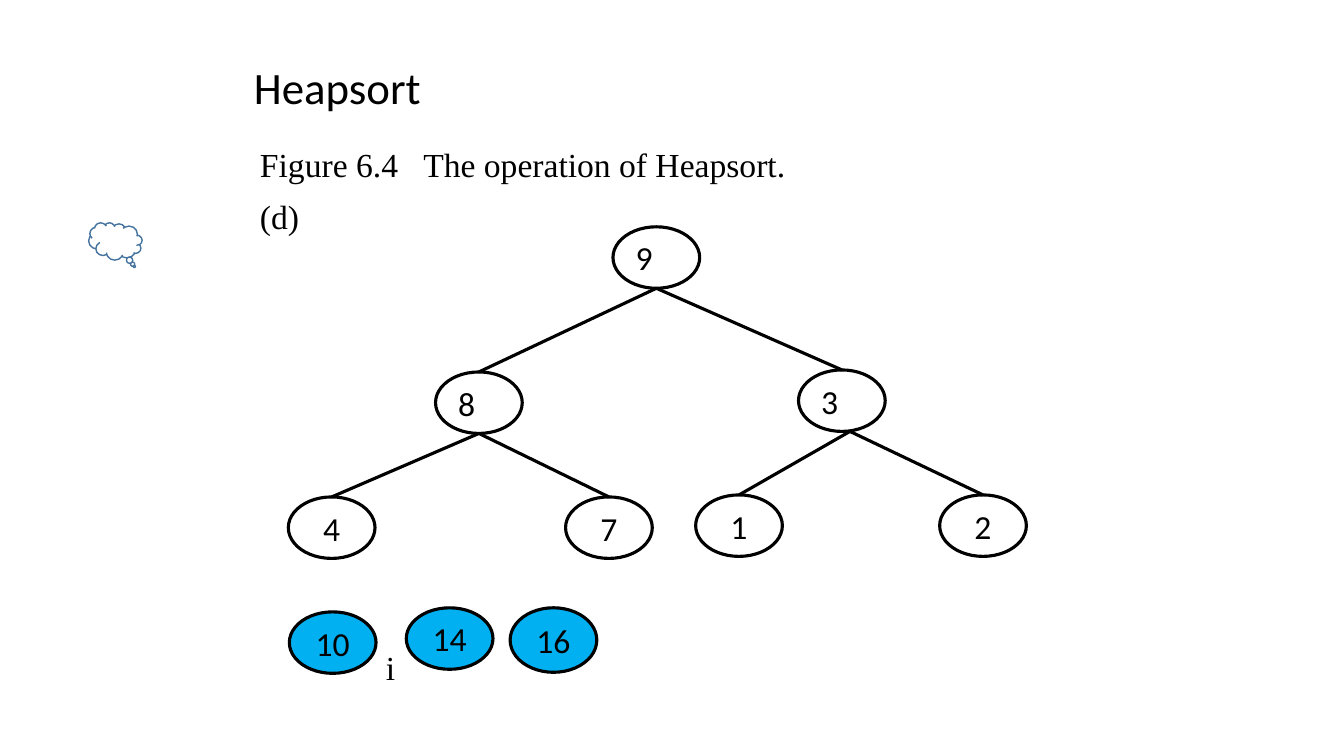
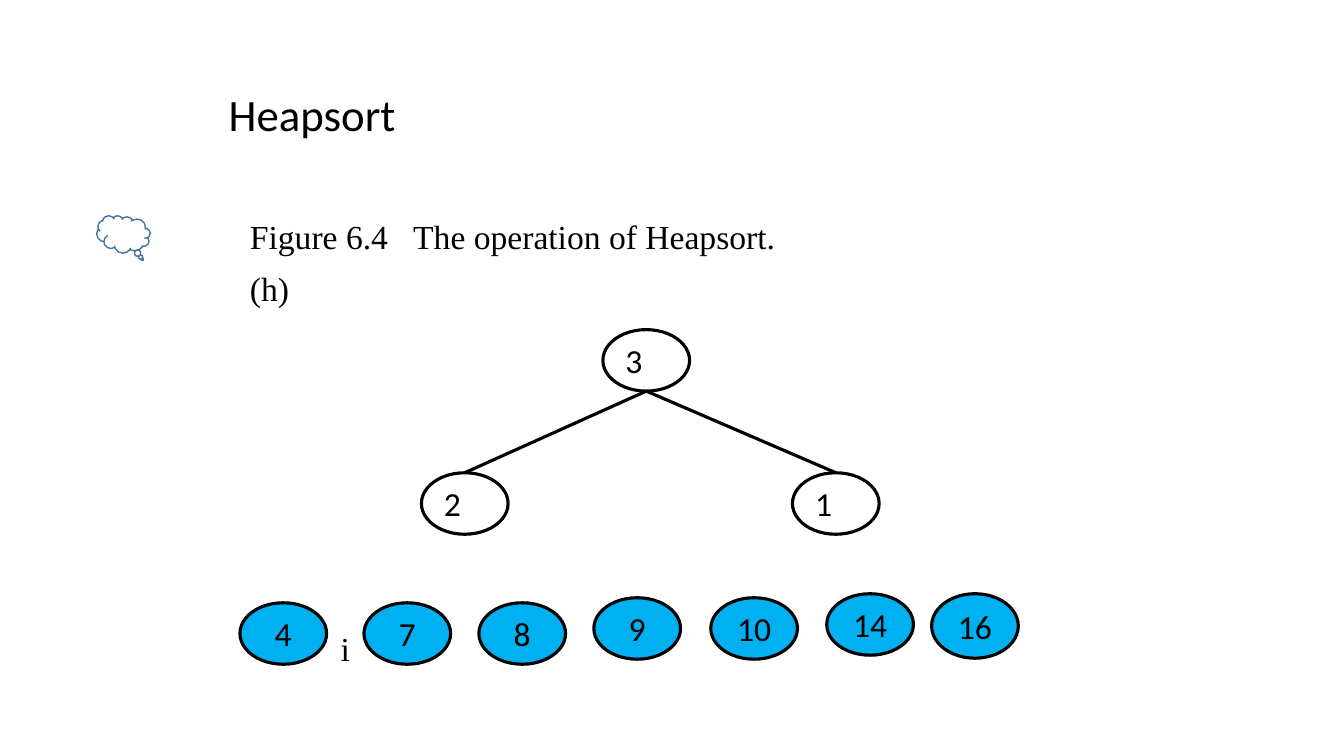
from dataclasses import dataclass

from lxml import etree
from pptx import Presentation
from pptx.dml.color import RGBColor
from pptx.enum import shapes, text
from pptx.oxml import ns
from pptx.util import Inches, Pt


@dataclass(frozen=True)
class Theme:
    ink: RGBColor = RGBColor(0x00, 0x00, 0x00)
    paper: RGBColor = RGBColor(0xFF, 0xFF, 0xFF)
    sorted_fill: RGBColor = RGBColor(0x00, 0xB0, 0xF0)
    cloud_line: RGBColor = RGBColor(0x43, 0x73, 0x9E)
    sans: str = "Calibri"
    serif: str = "Times New Roman"
    title_size: float = 32
    body_size: float = 24
    stroke: float = 2.25
    thin_stroke: float = 1
    caption_spacing: float = 1.3


THEME = Theme()
NODE_W, NODE_H, LAST_NODE_H = 0.86, 0.61, 0.64
CAPTION = "Figure 6.4\tThe operation of Heapsort."
CAPTION_TAB = 1.62

# Boxes are (left, top, width, height); offsets are relative to the region's corner.
# Tree nodes are in heap order: the parent of node i is node (i - 1) // 2.
STEPS = [
    {
        "title": (2.42, 0.54, 1.87, 0.64),
        "caption": (2.48, 1.26, 5.85, 1.1),
        "step": "(d)",
        "cloud": (0.88, 2.21),
        "tree": (2.86, 2.25),
        "heap": [("9", 3.22, 0), ("8", 1.46, 1.44), ("3", 5.06, 1.42),
                 ("4", 0, 2.68), ("7", 2.75, 2.68),
                 ("1", 4.04, 2.66), ("2", 6.46, 2.66)],
        "forks": {2: 0.08},
        "row": (2.87, 6.03),
        "sorted": [("10", 0, 0.04), ("14", 1.16, 0), ("16", 2.19, 0)],
        "marker": (0.86, 0.34),
    },
    {
        "title": (2.17, 0.81, 1.87, 0.64),
        "caption": (2.38, 1.97, 6.49, 1.1),
        "step": "(h)",
        "cloud": (0.96, 2.14),
        "tree": (4.18, 3.27),
        "heap": [("3", 1.8, 0), ("2", 0, 1.42), ("1", 3.68, 1.42)],
        "forks": {},
        "row": (2.38, 5.89),
        "sorted": [("4", 0, 0.09), ("7", 1.23, 0.09), ("8", 2.37, 0.09),
                   ("9", 3.51, 0.04), ("10", 4.67, 0.04),
                   ("14", 5.82, 0), ("16", 6.86, 0)],
        "marker": (0.9, 0.29),
    },
]


def inches(*lengths):
    return [Inches(length) for length in lengths]


def style_runs(frame, font_name, size):
    for paragraph in frame.paragraphs:
        for run in paragraph.runs:
            run.font.name = font_name
            run.font.size = Pt(size)
            run.font.color.rgb = THEME.ink


def add_label(slide, box, words, font_name, size, wrap=True):
    frame = slide.shapes.add_textbox(*inches(*box)).text_frame
    frame.word_wrap = wrap
    frame.auto_size = text.MSO_AUTO_SIZE.SHAPE_TO_FIT_TEXT
    frame.text = words
    style_runs(frame, font_name, size)
    return frame


def add_outlined(slide, kind, box, fill, line, width):
    shape = slide.shapes.add_shape(kind, *inches(*box))
    shape.shadow.inherit = False
    shape.fill.solid()
    shape.fill.fore_color.rgb = fill
    shape.line.color.rgb = line
    shape.line.width = Pt(width)
    return shape


def add_node(slide, key, left, top, fill, align, height=NODE_H):
    node = add_outlined(slide, shapes.MSO_SHAPE.OVAL,
                        (left, top, NODE_W, height), fill, THEME.ink, THEME.stroke)
    frame = node.text_frame
    frame.text = key
    frame.vertical_anchor = text.MSO_ANCHOR.MIDDLE
    frame.paragraphs[0].alignment = align
    style_runs(frame, THEME.sans, THEME.body_size)


def add_edge(slide, start, end):
    edge = slide.shapes.add_connector(shapes.MSO_CONNECTOR.STRAIGHT,
                                      *inches(*start, *end))
    edge.line.color.rgb = THEME.ink
    edge.line.width = Pt(THEME.stroke)
    etree.SubElement(edge.element.spPr, ns.qn("a:effectLst"))


def add_tree(slide, corner, heap, forks):
    """Draw a heap; forks shifts where the edges leave a given node."""
    left, top = corner
    spots = [(left + dx, top + dy) for _, dx, dy in heap]
    for index, ((key, _, _), spot) in enumerate(zip(heap, spots)):
        align = text.PP_ALIGN.LEFT if index < 3 else text.PP_ALIGN.CENTER
        add_node(slide, key, *spot, THEME.paper, align)
    for index, (x, y) in enumerate(spots[1:], start=1):
        parent = (index - 1) // 2
        parent_x, parent_y = spots[parent]
        add_edge(slide,
                 (parent_x + NODE_W / 2 + forks.get(parent, 0), parent_y + NODE_H),
                 (x + NODE_W / 2, y))


def add_sorted_row(slide, corner, keys, marker):
    left, top = corner
    for key, dx, dy in keys:
        height = LAST_NODE_H if key == keys[-1][0] else NODE_H
        add_node(slide, key, left + dx, top + dy, THEME.sorted_fill,
                 text.PP_ALIGN.CENTER, height)
    add_label(slide, (left + marker[0], top + marker[1], 0.53, 0.5), "i",
              THEME.serif, THEME.body_size)


def add_caption(slide, box, step):
    frame = add_label(slide, box, f"{CAPTION}\n{step}", THEME.serif, THEME.body_size)
    tabs = etree.SubElement(frame.paragraphs[0]._p.get_or_add_pPr(), ns.qn("a:tabLst"))
    etree.SubElement(tabs, ns.qn("a:tab"), pos=str(Inches(CAPTION_TAB)), algn="l")
    for paragraph in frame.paragraphs:
        paragraph.line_spacing = THEME.caption_spacing


def add_cloud(slide, corner):
    cloud = add_outlined(slide, shapes.MSO_SHAPE.CLOUD_CALLOUT, (*corner, 0.53, 0.37),
                         THEME.paper, THEME.cloud_line, THEME.thin_stroke)
    cloud.adjustments[0] = -0.355
    cloud.adjustments[1] = 0.674
    cloud.element.spPr.get_or_add_xfrm().set("flipH", "1")


def add_step_slide(deck, step):
    slide = deck.slides.add_slide(deck.slide_layouts[6])
    add_tree(slide, step["tree"], step["heap"], step["forks"])
    add_sorted_row(slide, step["row"], step["sorted"], step["marker"])
    add_caption(slide, step["caption"], step["step"])
    add_cloud(slide, step["cloud"])
    add_label(slide, step["title"], "Heapsort", THEME.sans, THEME.title_size, wrap=False)


def main():
    deck = Presentation()
    deck.slide_width, deck.slide_height = inches(13.33, 7.5)
    for step in STEPS:
        add_step_slide(deck, step)
    deck.save("out.pptx")


if __name__ == "__main__":
    main()
